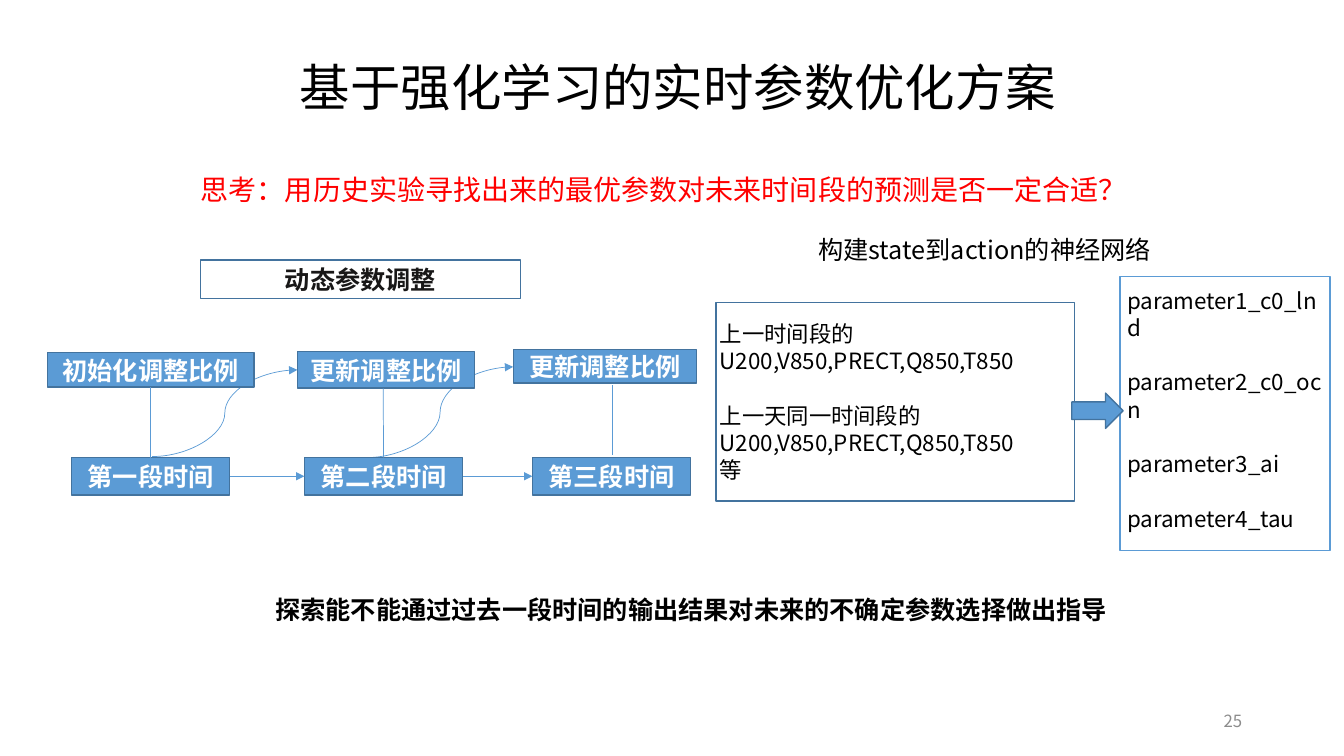
from lxml.etree import SubElement
from pptx import Presentation
from pptx.dml.color import RGBColor
from pptx.enum.shapes import MSO_CONNECTOR as LINK, MSO_SHAPE as SHAPE
from pptx.enum.text import MSO_ANCHOR as ANCHOR, PP_ALIGN as ALIGN
from pptx.oxml.ns import qn
from pptx.util import Inches, Pt

FONT = "Noto Sans CJK JP"
BLUE, EDGE, WHITE, BLACK = "5B9BD5", "43739E", "FFFFFF", "000000"


def color(value):
    return RGBColor.from_string(value)


def write(box, lines, size, ink, bold=False, align=ALIGN.CENTER,
          anchor=ANCHOR.MIDDLE, gaps=(), font=FONT):
    frame = box.text_frame
    frame.word_wrap = True
    frame.vertical_anchor = anchor
    frame.text = "\n".join(lines)
    for index, para in enumerate(frame.paragraphs):
        para.alignment = align
        para.line_spacing = Pt(round(size * 1.22, 1))
        if index in gaps:
            para.space_before = Pt(19.5)
        for span in para.runs:
            span.font.size = Pt(size)
            span.font.bold = bold
            span.font.name = font
            span.font.color.rgb = color(ink)
            SubElement(span.font._element, qn("a:ea"), typeface=font)


deck = Presentation()
deck.slide_width, deck.slide_height = Inches(13.33), Inches(7.5)
page = deck.slides.add_slide(deck.slide_layouts[6])
shapes = page.shapes

connectors = []
for start_x, start_y, end_x, end_y in [(1.51, 4.53, 2.95, 3.67), (3.64, 4.54, 5.09, 3.64)]:
    curve = shapes.add_connector(LINK.CURVE, Inches(start_x), Inches(start_y),
                                 Inches(end_x), Inches(end_y))
    connectors.append((curve, True))

blocks = [
    (0.71, 4.54, 1.57, 0.37, SHAPE.RECTANGLE, BLUE, EDGE, "第一段时间"),
    (3.02, 4.54, 1.57, 0.37, SHAPE.RECTANGLE, BLUE, EDGE, "第二段时间"),
    (5.28, 4.54, 1.57, 0.37, SHAPE.RECTANGLE, BLUE, EDGE, "第三段时间"),
    (0.47, 3.5, 2.05, 0.34, SHAPE.RECTANGLE, BLUE, EDGE, "初始化调整比例"),
    (2.95, 3.49, 1.76, 0.36, SHAPE.RECTANGLE, BLUE, EDGE, "更新调整比例"),
    (5.09, 3.47, 1.82, 0.33, SHAPE.RECTANGLE, BLUE, EDGE, "更新调整比例"),
    (1.99, 2.58, 3.17, 0.38, SHAPE.RECTANGLE, None, EDGE, "动态参数调整"),
    (7.1, 3, 3.56, 1.97, SHAPE.RECTANGLE, None, EDGE, ""),
    (11.11, 2.74, 2.08, 2.72, SHAPE.RECTANGLE, None, BLUE, ""),
    (10.63, 3.9, 0.51, 0.35, SHAPE.RIGHT_ARROW, BLUE, EDGE, ""),
]
boxes = []
for left, top, width, height, kind, fill, edge, label in blocks:
    box = shapes.add_shape(kind, Inches(left), Inches(top), Inches(width), Inches(height))
    box.shadow.inherit = False
    box.line.color.rgb = color(edge)
    box.line.width = Pt(1)
    if fill:
        box.fill.solid()
        box.fill.fore_color.rgb = color(fill)
    else:
        box.fill.background()
    if label:
        write(box, [label], 18, WHITE if fill else "181717", bold=True)
    boxes.append(box)

first, second, third, initial = boxes[:4]
for earlier, later in [(first, second), (second, third)]:
    step = shapes.add_connector(LINK.STRAIGHT, 0, 0, 0, 0)
    step.begin_connect(earlier, 3)
    step.end_connect(later, 1)
    connectors.append((step, True))

stems = []
for x, top, bottom in [(1.49, 3.84, 4.54), (3.8, 3.85, 4.54), (6.07, 3.82, 4.51)]:
    stem = shapes.add_connector(LINK.STRAIGHT, Inches(x), Inches(top), Inches(x), Inches(bottom))
    stems.append(stem)
    connectors.append((stem, False))
stems[0].begin_connect(initial, 2)
stems[0].end_connect(first, 0)
stems[1].end_connect(second, 0)

for connector, has_arrow in connectors:
    connector.line.color.rgb = color(BLUE)
    connector.line.width = Pt(0.5)
    if has_arrow:
        SubElement(connector.line._get_or_add_ln(), qn("a:tailEnd"), type="triangle")
    SubElement(connector._element.spPr, qn("a:effectLst"))

inputs = ["上一时间段的U200,V850,PRECT,Q850,T850",
          "上一天同一时间段的U200,V850,PRECT,Q850,T850", "等"]
parameters = ["parameter1_c0_lnd", "parameter2_c0_ocn", "parameter3_ai", "parameter4_tau"]
listing = dict(align=ALIGN.LEFT, anchor=ANCHOR.TOP)
texts = [
    (2.59, 0.5, 8.27, 0.71, ["基于强化学习的实时参数优化方案"], 36, BLACK, {}),
    (0.72, 1.61, 11.73, 0.54,
     ["思考：用历史实验寻找出来的最优参数对未来时间段的预测是否一定合适？"], 20, "FF0000", {}),
    (7.54, 2.27, 4.45, 0.4, ["构建state到action的神经网络"], 18, BLACK, {}),
    (7.04, 3.12, 3.82, 1.72, inputs, 16, BLACK, dict(listing, gaps=[1])),
    (11.08, 2.79, 2.13, 2.52, parameters, 16, BLACK, dict(listing, gaps=[1, 2, 3])),
    (0.95, 5.74, 11.81, 0.61,
     ["探索能不能通过过去一段时间的输出结果对未来的不确定参数选择做出指导"], 18, BLACK,
     dict(bold=True)),
    (9.42, 6.95, 3, 0.4, ["25"], 12, "8C8C8C",
     dict(align=ALIGN.RIGHT, font="Noto Sans CJK SC")),
]
for left, top, width, height, lines, size, ink, options in texts:
    box = shapes.add_textbox(Inches(left), Inches(top), Inches(width), Inches(height))
    write(box, lines, size, ink, **options)

deck.save("out.pptx")
